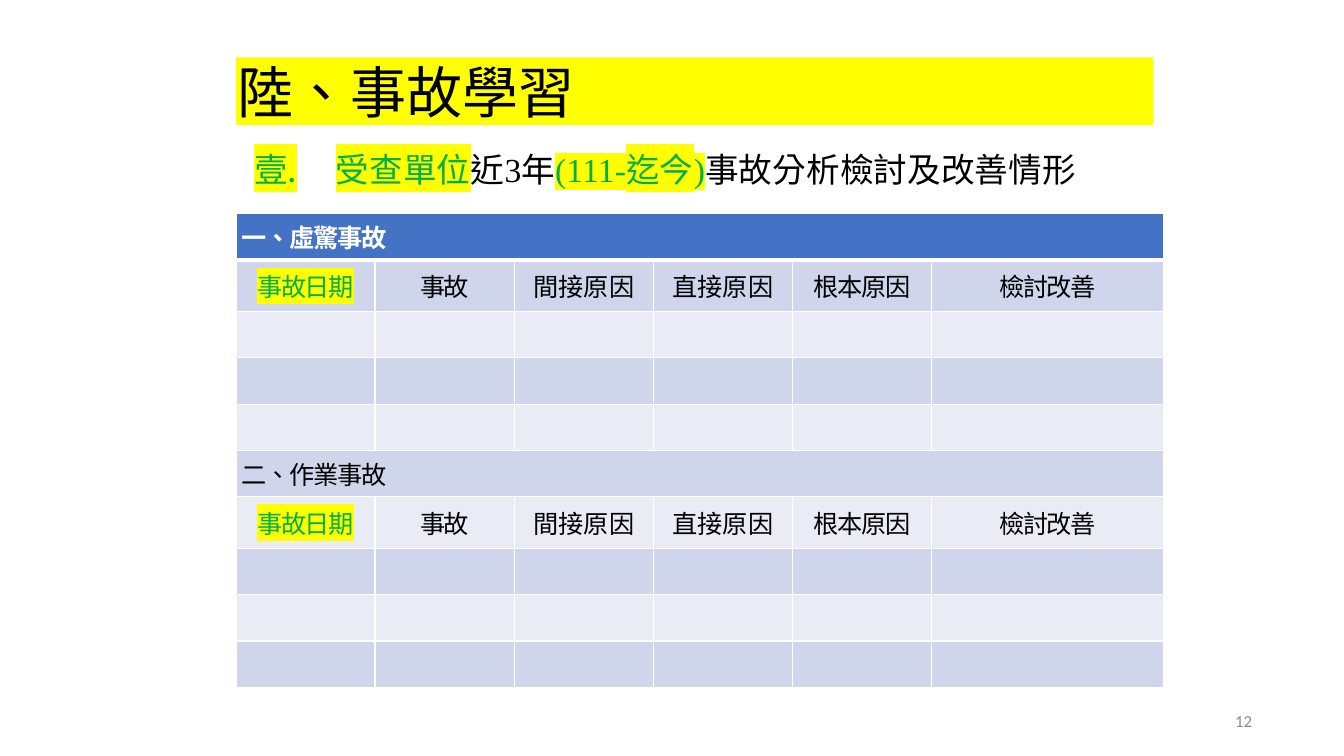
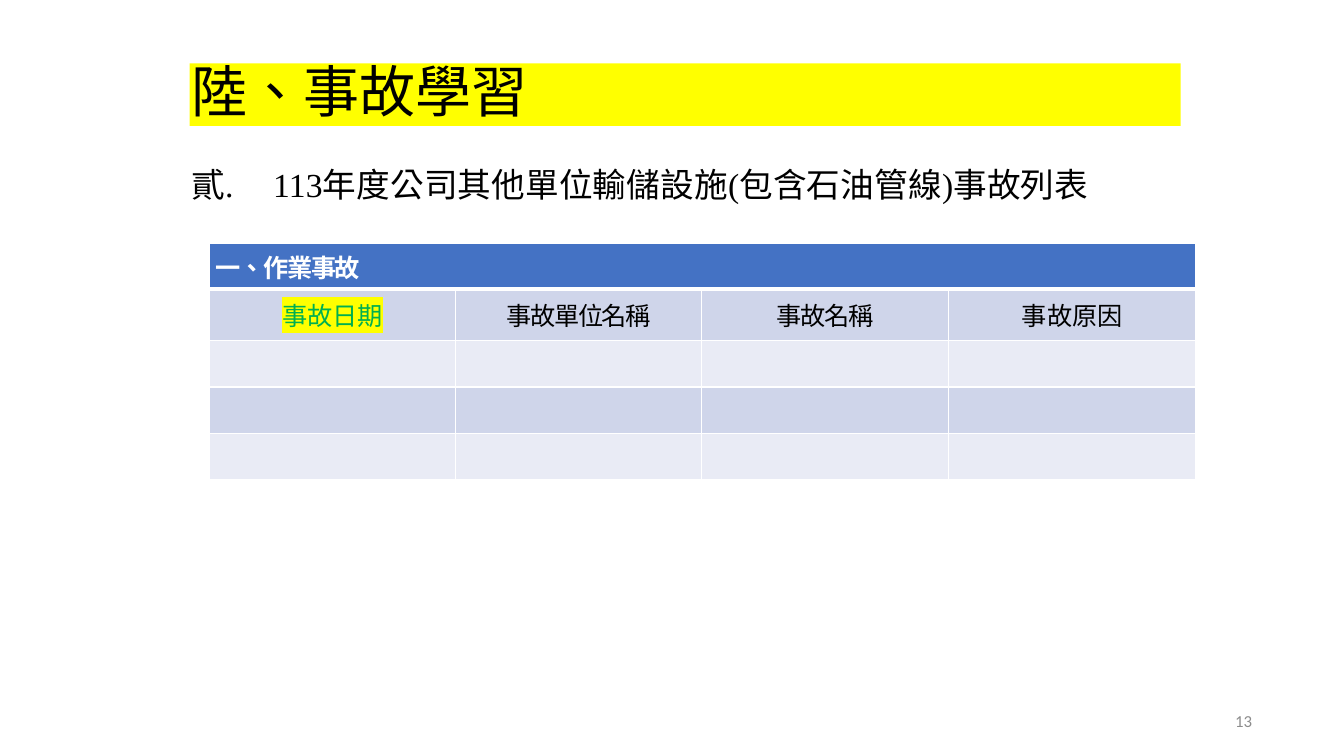
from dataclasses import dataclass
from typing import Any

import lxml.etree
import pptx
import pptx.dml.color
import pptx.enum.text
import pptx.oxml.ns
import pptx.util

Inches = pptx.util.Inches
Pt = pptx.util.Pt
qn = pptx.oxml.ns.qn

BLACK, WHITE, GREEN, YELLOW = "000000", "FFFFFF", "00B050", "FFFF00"
HEADER_BLUE, PAGE_GRAY = "4472C4", "8C8C8C"
BAND_FILLS = ("E9EBF5", "CFD5EA")
EAST_ASIAN_FONT = "Noto Sans CJK SC"
HEADING_FONT = "Times New Roman"
SECTION_HEIGHT, LABEL_HEIGHT = 0.46, 0.51
EMPTY_ROWS = 3
LEFT = pptx.enum.text.PP_ALIGN.LEFT
CENTER = pptx.enum.text.PP_ALIGN.CENTER
RIGHT = pptx.enum.text.PP_ALIGN.RIGHT


@dataclass(frozen=True)
class Box:
    left: float
    top: float
    width: float
    height: float


@dataclass(frozen=True)
class Run:
    text: str
    spacing: float = 0
    color: str = BLACK
    highlight: str = ""
    bold: bool = False


@dataclass(frozen=True)
class IncidentSlide:
    page: int
    title_box: Box
    title_line_spacing: float
    subtitle_box: Box
    subtitle_number: int
    subtitle: list[Run]
    table_left: float
    table_top: float
    column_widths: list[float]
    sections: list[str]
    labels: list[Run]


SLIDES = [
    IncidentSlide(
        page=12,
        title_box=Box(2.34, 0.57, 9.1, 0.67),
        title_line_spacing=1.0,
        subtitle_box=Box(2.5, 1.48, 9.21, 0.4),
        subtitle_number=1,
        subtitle=[
            Run("受查單位", 0.1, GREEN, YELLOW),
            Run("近", 0.1),
            Run("3", -0.1),
            Run("年", 0.1),
            Run("(111-迄今)", 0.1, GREEN, YELLOW),
            Run("事", -0.2),
            Run("故分析", 0.1),
            Run("檢", -0.2),
            Run("討", 0.1),
            Run("及", -0.2),
            Run("改善情形", 0.1),
        ],
        table_left=2.34,
        table_top=2.12,
        column_widths=[1.38] * 5 + [2.3],
        sections=["一、虛驚事故", "二、作業事故"],
        labels=[
            Run("事故日期", -1, GREEN, YELLOW),
            Run("事故", -1),
            Run("間接原因"),
            Run("直接原因"),
            Run("根本原因", -1),
            Run("檢討改善", -1),
        ],
    ),
    IncidentSlide(
        page=13,
        title_box=Box(1.88, 0.63, 9.83, 0.62),
        title_line_spacing=0.9,
        subtitle_box=Box(1.88, 1.63, 10.24, 0.4),
        subtitle_number=2,
        subtitle=[Run("113年度公司其他單位輸儲設施(包含石油管線)事故列表", 0.1)],
        table_left=2.08,
        table_top=2.41,
        column_widths=[2.44, 2.44, 2.45, 2.45],
        sections=["一、作業事故"],
        labels=[
            Run("事故日期", 0, GREEN, YELLOW),
            Run("事故單位名稱", -1),
            Run("事故名稱", -1),
            Run("事故原因"),
        ],
    ),
]


def rgb(color: str) -> pptx.dml.color.RGBColor:
    return pptx.dml.color.RGBColor.from_string(color)


def apply_format(target: Any, values: dict[str, Any]) -> None:
    for name, value in values.items():
        setattr(target, name, value)


def add_color(parent: Any, color: str) -> None:
    lxml.etree.SubElement(parent, qn("a:srgbClr"), val=color)


def add_run(paragraph: Any, content: Run, size: float, font_name: str) -> None:
    run = paragraph.add_run()
    run.text = content.text
    apply_format(run.font, {"size": Pt(size), "bold": content.bold})
    run.font.color.rgb = rgb(content.color)
    properties = run.font._element
    properties.set("lang", "zh-TW")
    properties.set("spc", str(round(content.spacing * 100)))
    if content.highlight:
        add_color(lxml.etree.SubElement(properties, qn("a:highlight")), content.highlight)
    run.font.name = font_name
    lxml.etree.SubElement(properties, qn("a:ea"), typeface=EAST_ASIAN_FONT)


def add_text_box(slide: Any, box: Box, auto_size: Any, anchor: Any) -> Any:
    shape = slide.shapes.add_textbox(
        Inches(box.left), Inches(box.top), Inches(box.width), Inches(box.height)
    )
    apply_format(shape.text_frame, {
        "word_wrap": True,
        "auto_size": auto_size,
        "vertical_anchor": anchor,
        "margin_left": 0,
        "margin_top": 0,
        "margin_right": 0,
        "margin_bottom": 0,
    })
    return shape


def set_indent(paragraph: Any, left: float, first_line: float) -> Any:
    properties = paragraph._p.get_or_add_pPr()
    properties.set("marL", str(Inches(left)))
    properties.set("indent", str(Inches(first_line)))
    return properties


def add_title(slide: Any, content: IncidentSlide) -> None:
    shape = add_text_box(
        slide, content.title_box,
        pptx.enum.text.MSO_AUTO_SIZE.SHAPE_TO_FIT_TEXT,
        pptx.enum.text.MSO_ANCHOR.MIDDLE,
    )
    shape.fill.solid()
    shape.fill.fore_color.rgb = rgb(YELLOW)
    paragraph = shape.text_frame.paragraphs[0]
    set_indent(paragraph, 0.02, 0)
    paragraph.line_spacing = content.title_line_spacing
    add_run(paragraph, Run("陸、事故學習", 0.1), 40, HEADING_FONT)


def add_subtitle(slide: Any, content: IncidentSlide) -> None:
    shape = add_text_box(
        slide, content.subtitle_box,
        pptx.enum.text.MSO_AUTO_SIZE.SHAPE_TO_FIT_TEXT,
        pptx.enum.text.MSO_ANCHOR.TOP,
    )
    paragraph = shape.text_frame.paragraphs[0]
    properties = set_indent(paragraph, 0.83, -0.81)
    lxml.etree.SubElement(
        properties, qn("a:buAutoNum"),
        type="ea1ChtPeriod", startAt=str(content.subtitle_number),
    )
    for run in content.subtitle:
        add_run(paragraph, run, 24, HEADING_FONT)


def add_page_number(slide: Any, page: int) -> None:
    shape = add_text_box(
        slide, Box(9.42, 6.95, 3, 0.4),
        pptx.enum.text.MSO_AUTO_SIZE.NONE,
        pptx.enum.text.MSO_ANCHOR.MIDDLE,
    )
    paragraph = shape.text_frame.paragraphs[0]
    paragraph.alignment = RIGHT
    add_run(paragraph, Run(str(page), color=PAGE_GRAY), 12, "Calibri")


def style_cell(cell: Any, row: int) -> None:
    apply_format(cell, {
        "margin_left": Inches(0.06),
        "margin_right": Inches(0.06),
        "margin_top": Inches(0.03),
        "margin_bottom": Inches(0.03),
        "vertical_anchor": pptx.enum.text.MSO_ANCHOR.MIDDLE,
    })
    properties = cell._tc.get_or_add_tcPr()
    thick_edge = {0: "lnB", 1: "lnT"}.get(row)
    for edge in ("lnL", "lnR", "lnT", "lnB"):
        width = Pt(3 if edge == thick_edge else 1)
        line = lxml.etree.SubElement(properties, qn(f"a:{edge}"), w=str(width))
        add_color(lxml.etree.SubElement(line, qn("a:solidFill")), WHITE)
    cell.fill.solid()
    cell.fill.fore_color.rgb = rgb(HEADER_BLUE if row == 0 else BAND_FILLS[row % 2])


def write_cell(cell: Any, content: Run, alignment: Any) -> None:
    paragraph = cell.text_frame.paragraphs[0]
    paragraph.alignment = alignment
    add_run(paragraph, content, 18, EAST_ASIAN_FONT)


def add_incident_table(slide: Any, content: IncidentSlide) -> None:
    section_rows = [SECTION_HEIGHT, LABEL_HEIGHT] + [SECTION_HEIGHT] * EMPTY_ROWS
    heights = section_rows * len(content.sections)
    widths = content.column_widths
    table = slide.shapes.add_table(
        len(heights), len(widths),
        Inches(content.table_left), Inches(content.table_top),
        Inches(sum(widths)), Inches(sum(heights)),
    ).table
    for column, width in zip(table.columns, widths):
        column.width = Inches(width)
    for row, height in enumerate(heights):
        table.rows[row].height = Inches(height)
        for cell in table.rows[row].cells:
            style_cell(cell, row)
    for index, section in enumerate(content.sections):
        row = index * len(section_rows)
        first = row == 0
        table.cell(row, 0).merge(table.cell(row, len(widths) - 1))
        heading = Run(section, -1, WHITE if first else BLACK, bold=first)
        write_cell(table.cell(row, 0), heading, LEFT)
        for column, label in enumerate(content.labels):
            write_cell(table.cell(row + 1, column), label, CENTER)


def main() -> None:
    presentation = pptx.Presentation()
    apply_format(presentation, {"slide_width": Inches(13.33), "slide_height": Inches(7.5)})
    for content in SLIDES:
        slide = presentation.slides.add_slide(presentation.slide_layouts[6])
        add_title(slide, content)
        add_subtitle(slide, content)
        add_incident_table(slide, content)
        add_page_number(slide, content.page)
    presentation.save("out.pptx")


if __name__ == "__main__":
    main()
